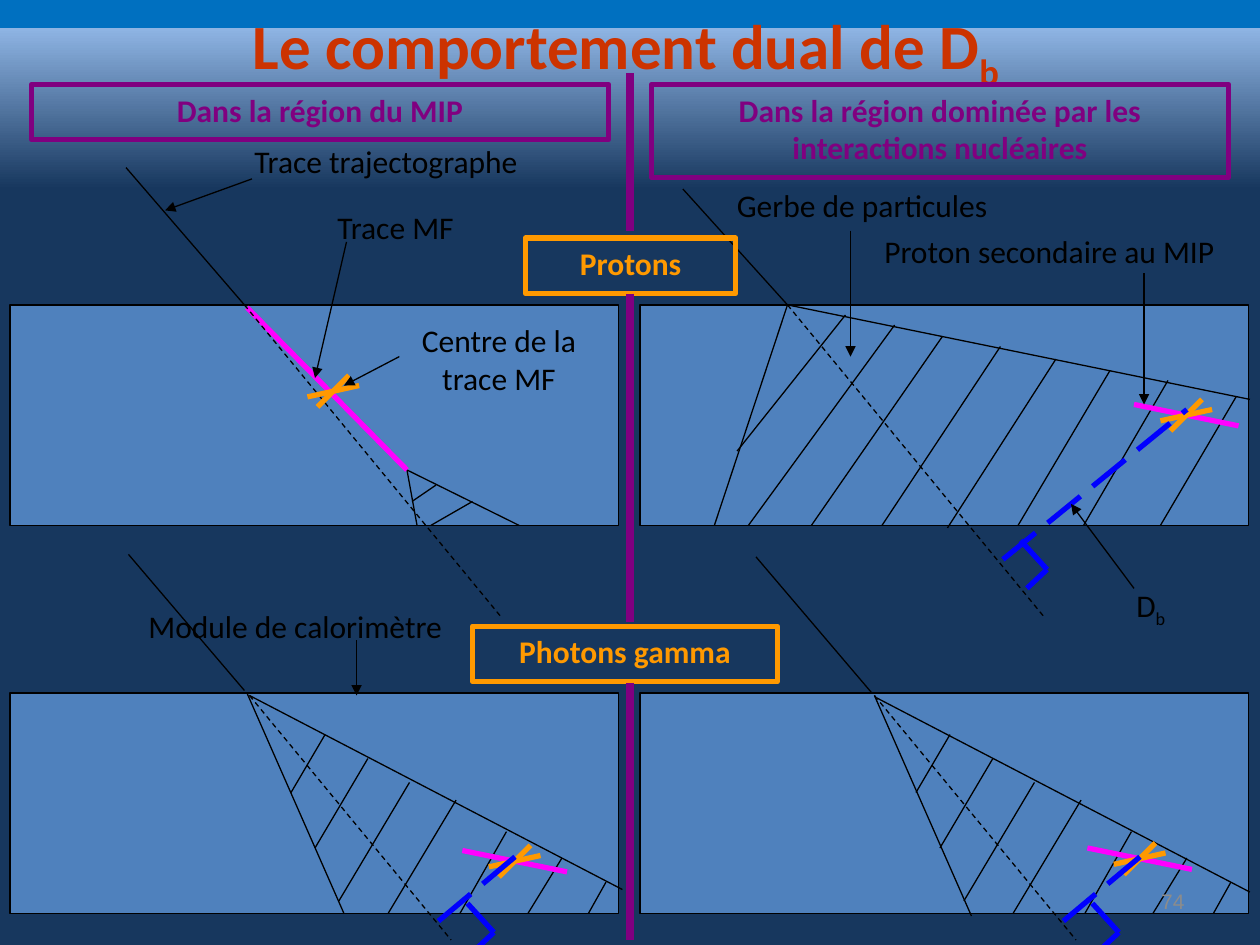
from dataclasses import dataclass
from typing import NamedTuple, Optional

from lxml.etree import SubElement
from pptx import Presentation
from pptx.dml.color import RGBColor
from pptx.enum.dml import MSO_LINE
from pptx.enum.shapes import MSO_CONNECTOR, MSO_SHAPE
from pptx.enum.text import MSO_ANCHOR, MSO_AUTO_SIZE, PP_ALIGN
from pptx.oxml import parse_xml
from pptx.oxml.ns import nsdecls, qn
from pptx.util import Inches, Pt


@dataclass(frozen=True)
class Theme:
    font: str = "Calibri"
    number_font: str = "Arial"
    title_size: int = 36
    body_size: int = 18
    number_size: int = 12
    title: str = "CC3300"
    black: str = "000000"
    panel: str = "4F81BD"
    purple: str = "800080"
    orange: str = "FF9900"
    magenta: str = "FF00FF"
    blue: str = "0000FF"
    gray: str = "8C8C8C"
    sky: tuple = ((3, "0070C0"), (3, "8EB4E3"), (20, "17375E"), (100, "17375E"))


class Stroke(NamedTuple):
    color: str
    width: float = 0.75
    dash: Optional[MSO_LINE] = None
    arrow: bool = False


class Label(NamedTuple):
    text: str
    x: float
    y: float
    w: float
    h: float = 0.4
    sub: str = ""
    align: Optional[PP_ALIGN] = None


class Box(NamedTuple):
    text: str
    x: float
    y: float
    w: float
    h: float
    color: str


T = Theme()
THIN = Stroke(T.black)
DASHED = Stroke(T.black, dash=MSO_LINE.DASH)
ARROW = Stroke(T.black, arrow=True)
TRACK = Stroke(T.magenta, 3)
CENTRE = Stroke(T.orange, 3)
RIGHT_ANGLE = Stroke(T.blue, 3)
DISTANCE = Stroke(T.blue, 3, MSO_LINE.LONG_DASH)
DIVIDER = Stroke(T.purple, 5)

# Segments are x1, y1, x2, y2 in inches
PROTON_MIP = [
    (THIN, [(1, 1.33, 1.94, 2.42), (3.23, 3.73, 3.31, 4.17), (3.23, 3.73, 4.12, 4.17),
            (3.27, 3.98, 3.46, 3.85), (3.42, 4.17, 3.75, 3.98)]),
    (TRACK, [(1.96, 2.44, 3.23, 3.73)]),
    (DASHED, [(1.94, 2.42, 3.98, 4.9)]),
]
PROTON_SHOWER = [
    (THIN, [(5.42, 1.5, 6.25, 2.42), (6.25, 2.42, 5.67, 4.17), (6.25, 2.42, 9.92, 3.17),
            (5.85, 3.58, 6.71, 2.5), (5.94, 4.17, 7.1, 2.58), (6.44, 4.17, 7.48, 2.67),
            (7, 4.17, 7.94, 2.75), (7.52, 4.19, 8.38, 2.85), (8.08, 4.17, 8.81, 2.94),
            (8.6, 4.17, 9.27, 3.02), (9.21, 4.17, 9.81, 3.15)]),
    (DASHED, [(6.25, 2.42, 8.29, 4.9)]),
]
GAMMA_EDGES = [(1.02, 4.4, 1.94, 5.48), (1.96, 5.5, 2.73, 7.25), (1.98, 5.52, 4.94, 7.06)]
GAMMA_HATCH = [(2.31, 6.29, 2.58, 5.83), (2.5, 6.73, 2.92, 6.02), (2.69, 7.15, 3.25, 6.21),
               (3.08, 7.25, 3.62, 6.35), (3.65, 7.25, 4.02, 6.6), (4.19, 7.25, 4.46, 6.81),
               (4.67, 7.25, 4.81, 7)]
POINTERS = [(2, 1.42, 1.31, 1.67), (2.83, 5.08, 2.83, 5.52), (6.75, 1.83, 6.75, 2.83),
            (2.75, 1.92, 2.5, 3), (3.17, 2.83, 2.73, 3.06), (9, 4.67, 8.5, 4),
            (9.08, 2.17, 9.08, 3.21)]
DIVIDERS = [(5, 0.58, 5, 1.83), (5, 2.33, 5, 4.94), (5, 5.42, 5, 7.46)]

BOXES = [
    Box("Dans la région du MIP", 0.25, 0.67, 4.58, 0.44, T.purple),
    Box("Dans la région dominée par les interactions nucléaires", 5.17, 0.67, 4.58, 0.74, T.purple),
    Box("Protons", 4.17, 1.89, 1.67, 0.44, T.orange),
    Box("Photons gamma", 3.75, 4.97, 2.42, 0.44, T.orange),
]
LABELS = [
    Label("Trace trajectographe", 1.92, 1.08, 2.75),
    Label("Trace MF", 2.58, 1.6, 1.83),
    Label("Module de calorimètre", 1.08, 4.77, 3.17),
    Label("Gerbe de particules", 5.75, 1.43, 2.42),
    Label("Centre de la trace MF", 3, 2.5, 1.92, 0.7, align=PP_ALIGN.CENTER),
    Label("D", 8.92, 4.6, 1.17, sub="b"),
    Label("Proton secondaire au MIP", 6.92, 1.79, 3.46),
]


def write(tf, text: str, color: str, size: int = T.body_size, font: str = T.font, bold: bool = False,
          align: Optional[PP_ALIGN] = None, sub: str = "", anchor=MSO_ANCHOR.TOP) -> None:
    tf.text = text
    tf.word_wrap = True
    tf.auto_size = MSO_AUTO_SIZE.SHAPE_TO_FIT_TEXT
    tf.vertical_anchor = anchor
    p = tf.paragraphs[0]
    p.alignment = align
    if sub:
        r = p.add_run()
        r.text = sub
        r.font._element.set("baseline", "-25000")
    for r in p.runs:
        r.font.name, r.font.size, r.font.bold = font, Pt(size), bold
        r.font.color.rgb = RGBColor.from_string(color)


def add_lines(s, stroke: Stroke, segments: list, dx: float = 0, dy: float = 0) -> None:
    for x1, y1, x2, y2 in segments:
        c = s.shapes.add_connector(MSO_CONNECTOR.STRAIGHT, Inches(x1 + dx), Inches(y1 + dy),
                                   Inches(x2 + dx), Inches(y2 + dy))
        c.line.color.rgb = RGBColor.from_string(stroke.color)
        c.line.width = Pt(stroke.width)
        if stroke.dash:
            c.line.dash_style = stroke.dash
        if stroke.arrow:
            SubElement(c.line._get_or_add_ln(), qn("a:tailEnd"), type="triangle")
        SubElement(c._element.spPr, qn("a:effectLst"))


def add_rect(s, x: float, y: float, w: float, h: float, line: str, width: float, fill: str = ""):
    sp = s.shapes.add_shape(MSO_SHAPE.RECTANGLE, Inches(x), Inches(y), Inches(w), Inches(h))
    sp.shadow.inherit = False
    sp.line.color.rgb = RGBColor.from_string(line)
    sp.line.width = Pt(width)
    if fill:
        sp.fill.solid()
        sp.fill.fore_color.rgb = RGBColor.from_string(fill)
    else:
        sp.fill.background()
    return sp


def add_text(s, x: float, y: float, w: float, h: float, text: str, color: str, **style) -> None:
    sp = s.shapes.add_textbox(Inches(x), Inches(y), Inches(w), Inches(h))
    write(sp.text_frame, text, color, **style)


def add_star(s, x: float, y: float) -> None:
    add_lines(s, CENTRE, [(0, 0, 0.41, -0.09), (0.33, -0.17, 0.08, 0.08)], x, y)


def add_track(s, x: float, y: float) -> None:
    add_lines(s, TRACK, [(0, 0, 0.83, 0.17)], x, y)
    add_star(s, x + 0.21, y + 0.13)


def add_right_angle(s, x: float, y: float) -> None:
    add_lines(s, RIGHT_ANGLE, [(0, 0, 0.21, 0.23), (0.21, 0.23, 0.05, 0.38)], x, y)


def add_gamma_shower(s, dx: float, nudge: float) -> None:
    add_lines(s, THIN, GAMMA_EDGES, dx + nudge, nudge)
    add_lines(s, THIN, GAMMA_HATCH, dx)
    add_lines(s, DASHED, [(1.98, 5.52, 3.58, 7.46)], dx)
    add_track(s, 3.67 + dx, 6.75 - nudge)
    add_right_angle(s, 3.71 + dx, 7.17)
    add_lines(s, DISTANCE, [(3.48, 7.31, 4.1, 6.79)], dx)


def set_background(s) -> None:
    stops = "".join(f'<a:gs pos="{pos * 1000}"><a:srgbClr val="{c}"/></a:gs>' for pos, c in T.sky)
    fill = s.background.fill
    fill.gradient()
    grad = s._element.cSld.bg.bgPr.find(qn("a:gradFill"))
    new = parse_xml(f'<a:gradFill {nsdecls("a")} rotWithShape="1"><a:gsLst>{stops}</a:gsLst>'
                    '<a:lin ang="5400000" scaled="0"/></a:gradFill>')
    grad.getparent().replace(grad, new)


def main() -> None:
    prs = Presentation()
    prs.slide_width, prs.slide_height = Inches(10), Inches(7.5)
    s = prs.slides.add_slide(prs.slide_layouts[5])
    set_background(s)

    # Title
    sp = s.shapes.title
    sp.left, sp.top, sp.width, sp.height = Inches(0), Inches(0), Inches(10), Inches(0.71)
    write(sp.text_frame, "Le comportement dual de D", T.title, T.title_size, bold=True,
          align=PP_ALIGN.CENTER, sub="b ")

    # Calorimeter modules
    for y in (2.42, 5.5):
        for x in (0.08, 5.08):
            add_rect(s, x, y, 4.83, 1.75, T.black, 0.75, T.panel)

    # Proton events
    for stroke, segments in PROTON_MIP + PROTON_SHOWER:
        add_lines(s, stroke, segments)
    add_star(s, 2.44, 3.15)
    add_track(s, 9, 3.21)
    add_lines(s, DISTANCE, [(7.96, 4.44, 9.42, 3.25)])
    add_right_angle(s, 8.1, 4.29)

    # Gamma events
    add_gamma_shower(s, 0, 0)
    add_gamma_shower(s, 4.96, 0.02)

    # Headings, labels and pointers
    for b in BOXES:
        sp = add_rect(s, b.x, b.y, b.w, b.h, b.color, 3)
        write(sp.text_frame, b.text, b.color, bold=True, align=PP_ALIGN.CENTER)
    add_lines(s, ARROW, POINTERS)
    add_lines(s, DIVIDER, DIVIDERS)
    for lb in LABELS:
        add_text(s, lb.x, lb.y, lb.w, lb.h, lb.text, T.black, align=lb.align, sub=lb.sub)

    # Slide number
    add_text(s, 7.17, 6.95, 2.33, 0.4, "74", T.gray, size=T.number_size, font=T.number_font,
             align=PP_ALIGN.RIGHT, anchor=MSO_ANCHOR.MIDDLE)
    prs.save("out.pptx")


if __name__ == "__main__":
    main()
